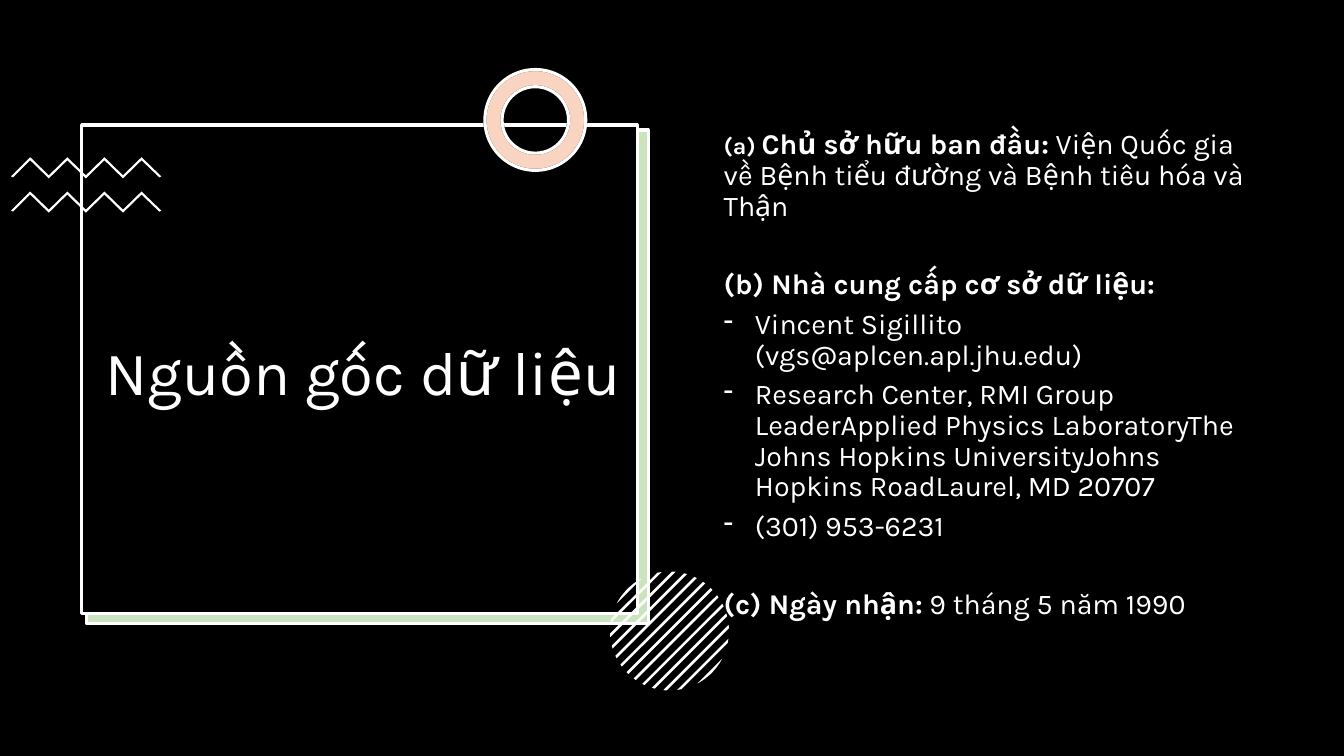
import dataclasses
import math
from typing import Any, Optional

import lxml.etree
import pptx
import pptx.dml.color
import pptx.enum.shapes
import pptx.enum.text
import pptx.oxml.ns
import pptx.util

Inches = pptx.util.Inches
Pt = pptx.util.Pt
RGBColor = pptx.dml.color.RGBColor
Kind = pptx.enum.shapes.MSO_SHAPE
Align = pptx.enum.text.PP_ALIGN
qn = pptx.oxml.ns.qn

BLACK = RGBColor(0x00, 0x00, 0x00)
WHITE = RGBColor(0xFF, 0xFF, 0xFF)
GREEN = RGBColor(0x4E, 0xA7, 0x2E)
ORANGE = RGBColor(0xE9, 0x71, 0x32)
FONT = "Karla"
Point = tuple[float, float]


@dataclasses.dataclass
class Panel:
    kind: Any
    box: tuple[float, float, float, float]
    fill: RGBColor
    line: Optional[RGBColor] = None
    alpha: int = 100


@dataclasses.dataclass
class Run:
    text: str
    bold: bool = False
    size: float = 20.4


@dataclasses.dataclass
class Para:
    runs: list[Run]
    dash: bool = False
    before: float = 0
    align: Any = Align.LEFT


RING = (4.81, 0.69, 1, 1)
PANELS = [
    Panel(Kind.RECTANGLE, (0, 0, 13.33, 7.5), BLACK),
    Panel(Kind.RECTANGLE, (0.85, 1.3, 5.57, 4.9), WHITE),
    Panel(Kind.RECTANGLE, (0.86, 1.29, 5.57, 4.9), GREEN, WHITE, 30),
    Panel(Kind.RECTANGLE, (0.81, 1.24, 5.51, 4.85), BLACK, WHITE),
]
RINGS = [
    Panel(Kind.DONUT, RING, WHITE, BLACK),
    Panel(Kind.DONUT, RING, ORANGE, WHITE, 30),
]
TITLE = [Para([Run("Nguồn gốc dữ liệu", size=44)], align=Align.CENTER)]
BODY = [
    Para([
        Run("(a) ", True, 16.6),
        Run("Chủ sở hữu ban đầu:", True),
        Run(" Viện Quốc gia về Bệnh tiểu đường và Bệnh tiêu hóa và Thận"),
    ]),
    Para([Run("(b) Nhà cung cấp cơ sở dữ liệu:", True)], before=28),
    Para([Run("Vincent Sigillito (vgs@aplcen.apl.jhu.edu)")], dash=True),
    Para([Run("Research Center, RMI Group LeaderApplied Physics LaboratoryThe "
              "Johns Hopkins UniversityJohns Hopkins RoadLaurel, MD 20707")], dash=True),
    Para([Run("(301) 953-6231")], dash=True),
    Para([Run("(c) Ngày nhận:", True), Run(" 9 tháng 5 năm 1990")], before=28),
]


def paint(shape: Any, fill: RGBColor, line: Optional[RGBColor] = None, alpha: int = 100) -> None:
    shape.shadow.inherit = False
    shape.fill.solid()
    shape.fill.fore_color.rgb = fill
    if alpha < 100:
        tint = shape.fill._xPr.find(qn("a:solidFill"))[0]
        lxml.etree.SubElement(tint, qn("a:alpha")).set("val", str(alpha * 1000))
    if line is None:
        shape.line.fill.background()
    else:
        shape.line.color.rgb = line
        shape.line.width = Pt(2.25)


def add_panel(shapes: Any, panel: Panel) -> None:
    shape = shapes.add_shape(panel.kind, *map(Inches, panel.box))
    if panel.kind == Kind.DONUT:
        shape.adjustments[0] = 0.17
    paint(shape, panel.fill, panel.line, panel.alpha)


def add_shard(shapes: Any, points: list[Point]) -> None:
    """Draw a closed white polygon."""
    spots = [(Inches(x), Inches(y)) for x, y in points]
    form = shapes.build_freeform(*spots[0], scale=1.0)
    form.add_line_segments(spots[1:], close=True)
    paint(form.convert_to_shape(), WHITE)


def zigzag(top: float) -> list[Point]:
    crest = [(0.3 + 0.184 * i, top + 0.18 * (i % 2)) for i in range(7)]
    under = [(x, y + 0.03) for x, y in reversed(crest)]
    return [(0.11, top + 0.19), *crest, (1.6, top + 0.19),
            (1.58, top + 0.2), *under, (0.13, top + 0.2)]


def stripe(index: int) -> list[Point]:
    """Outline one diagonal band of the disc; index 0 crosses its centre."""
    mid_x, mid_y, radius = 6.64, 6.26, 0.59
    left, right = [], []
    for step in range(-2, 3):
        half = (0.136 * index + 0.009 * step) / 2
        reach = math.sqrt(max(0, radius ** 2 / 2 - half ** 2))
        left.append((mid_x + half - reach, mid_y + half + reach))
        right.append((mid_x + half + reach, mid_y + half - reach))
    return left + right[::-1]


def add_text(shapes: Any, box: tuple[float, float, float, float],
             paras: list[Para], anchor: Any) -> None:
    frame = shapes.add_textbox(*map(Inches, box)).text_frame
    frame.word_wrap = True
    frame.vertical_anchor = anchor
    for index, para in enumerate(paras):
        line = frame.add_paragraph() if index else frame.paragraphs[0]
        line.alignment = para.align
        line.line_spacing = 0.9
        line.space_before = Pt(para.before)
        line.space_after = Pt(6)
        if para.dash:
            props = line._p.get_or_add_pPr()
            props.set("marL", str(Inches(0.31)))
            props.set("indent", str(-Inches(0.31)))
            lxml.etree.SubElement(props, qn("a:buChar")).set("char", "-")
        for part in para.runs:
            run = line.add_run()
            run.text = part.text
            run.font.name = FONT
            run.font.size = Pt(part.size)
            run.font.bold = part.bold
            run.font.color.rgb = WHITE


def main() -> None:
    deck = pptx.Presentation()
    deck.slide_width = Inches(13.33)
    deck.slide_height = Inches(7.5)
    shapes = deck.slides.add_slide(deck.slide_layouts[6]).shapes
    for panel in PANELS:
        add_panel(shapes, panel)
    waves = shapes.add_group_shape().shapes
    for top in (1.56, 1.9):
        add_shard(waves, zigzag(top))
    for ring in RINGS:
        add_panel(shapes, ring)
    disc = shapes.add_group_shape().shapes
    for index in range(-6, 7):
        add_shard(disc, stripe(index))
    anchors = pptx.enum.text.MSO_ANCHOR
    add_text(shapes, (0.92, 1.52, 5.36, 4.42), TITLE, anchors.MIDDLE)
    add_text(shapes, (7.08, 1.24, 5.44, 4.76), BODY, anchors.TOP)
    deck.save("out.pptx")


if __name__ == "__main__":
    main()
